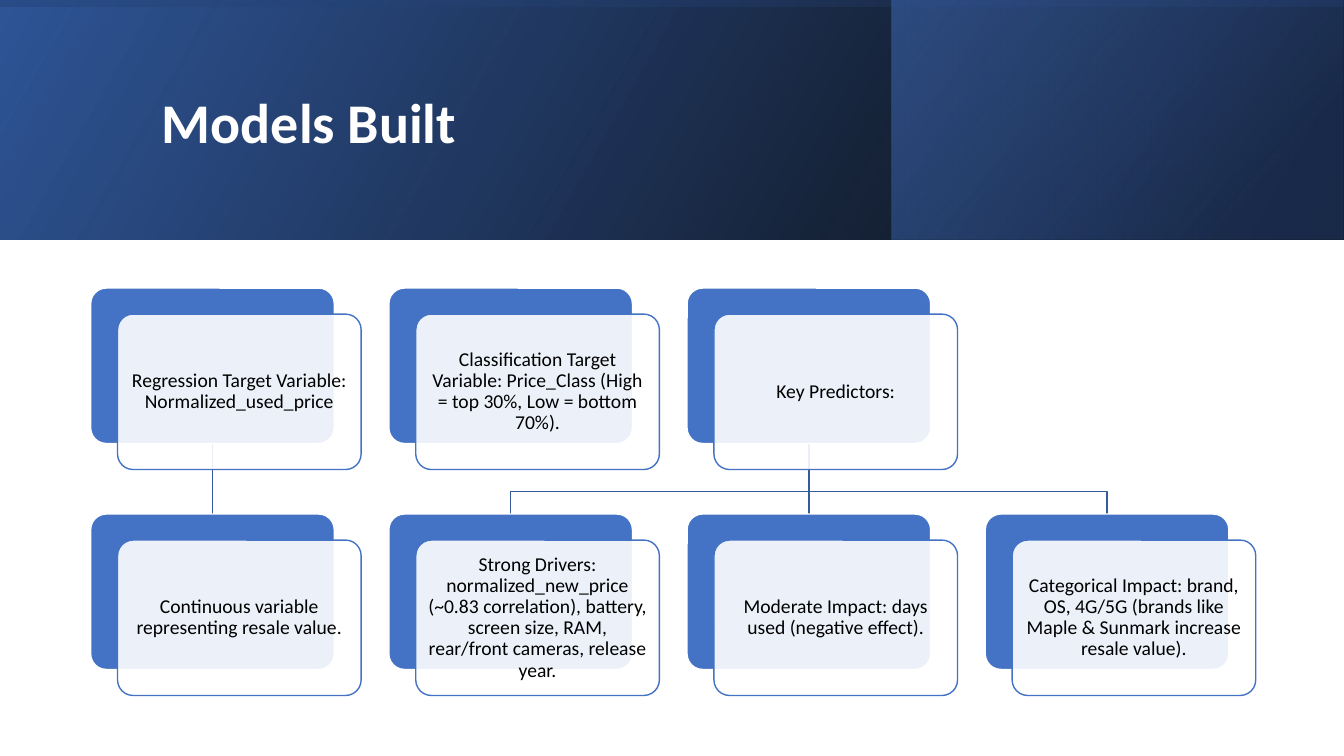
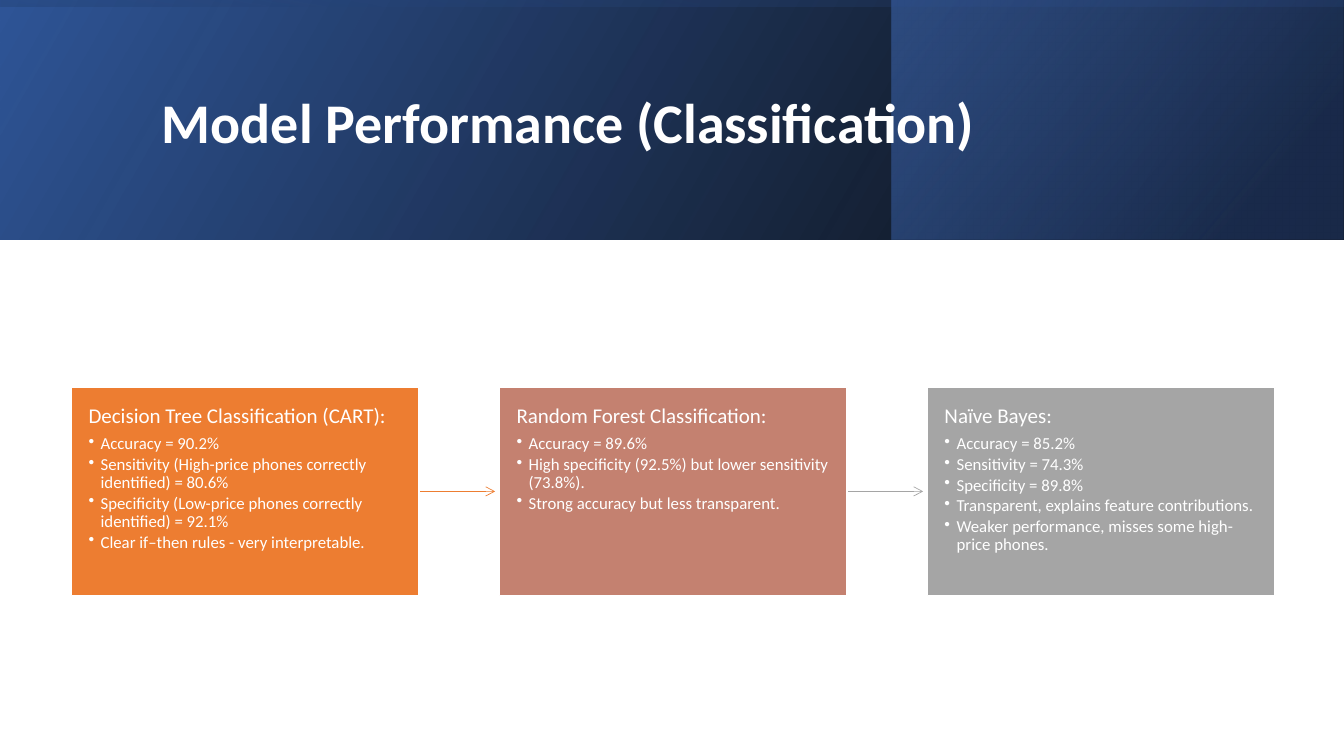
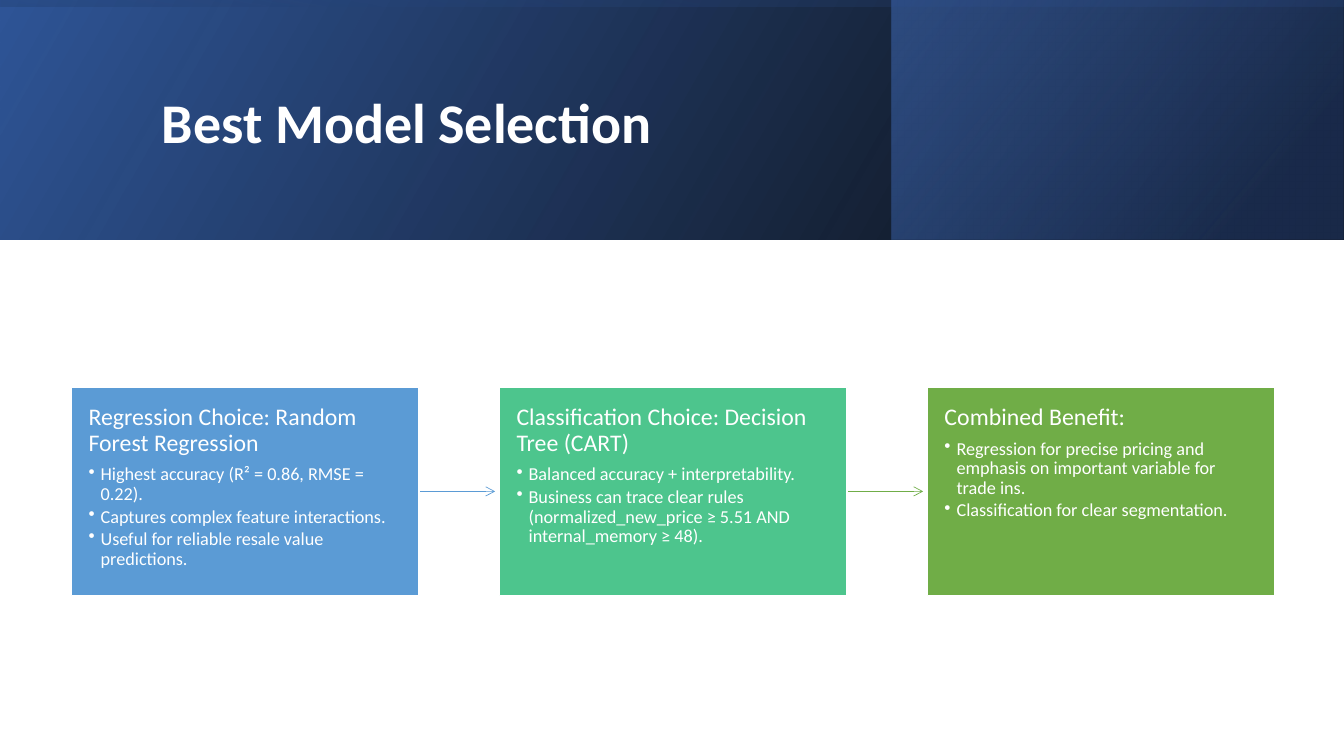
import dataclasses
import pptx
import pptx.dml.color
import pptx.enum.shapes
import pptx.enum.text
import pptx.oxml.ns
import pptx.util
from lxml import etree

RGB = pptx.dml.color.RGBColor
WHITE = RGB(0xFF, 0xFF, 0xFF)
BLACK = RGB(0x00, 0x00, 0x00)
BLUE = RGB(0x44, 0x72, 0xC4)
ROYAL = RGB(0x2F, 0x55, 0x97)
NAVY = RGB(0x20, 0x38, 0x64)
WIRE = RGB(0x36, 0x5B, 0x9D)
ORANGE = RGB(0xED, 0x7D, 0x31)
CLAY = RGB(0xC4, 0x81, 0x70)
GRAY = RGB(0xA5, 0xA5, 0xA5)
SKY = RGB(0x5B, 0x9B, 0xD5)
MINT = RGB(0x4D, 0xC5, 0x8D)
GREEN = RGB(0x70, 0xAD, 0x47)

FONT = "Calibri"
COLS, ROWS = 160, 90
UNIT = pptx.util.Inches(7.5) / ROWS
KIND = pptx.enum.shapes.MSO_SHAPE
ANCHOR = pptx.enum.text.MSO_ANCHOR
ALIGN = pptx.enum.text.PP_ALIGN


@dataclasses.dataclass
class Box:
    """Area counted in columns and rows of the slide grid."""
    x: float
    y: float
    w: float
    h: float

    def emu(self):
        """Return left, top, width and height as lengths."""
        return [grid(v) for v in (self.x, self.y, self.w, self.h)]

    def inner(self, x, y, w, h):
        """Return a box whose corner is counted from this one."""
        return Box(self.x + x, self.y + y, w, h)


BAND = Box(0, 0, COLS, 28.5)
TREE = Box(10.8, 34.3, 138.7, 48.5)
FLOW = Box(8.5, 46.1, 143.3, 24.8)

CARDS = [
    (0, 0, "Regression Target Variable: Normalized_used_price"),
    (0, 1, "Continuous variable representing resale value."),
    (1, 0, "Classification Target Variable: Price_Class "
           "(High = top 30%, Low = bottom 70%)."),
    (2, 0, "Key Predictors:"),
    (1, 1, "Strong Drivers: normalized_new_price (~0.83 correlation), battery, "
           "screen size, RAM, rear/front cameras, release year."),
    (2, 1, "Moderate Impact: days used (negative effect)."),
    (3, 1, "Categorical Impact: brand, OS, 4G/5G "
           "(brands like Maple & Sunmark increase resale value)."),
]
LINKS = [(2, 3), (2, 2), (2, 1), (0, 0)]

SCORES = [
    (ORANGE, "Decision Tree Classification (CART):", [
        "Accuracy = 90.2%",
        "Sensitivity (High-price phones correctly identified) = 80.6%",
        "Specificity (Low-price phones correctly identified) = 92.1%",
        "Clear if–then rules - very interpretable."]),
    (CLAY, "Random Forest Classification:", [
        "Accuracy = 89.6%",
        "High specificity (92.5%) but lower sensitivity (73.8%).",
        "Strong accuracy but less transparent."]),
    (GRAY, "Naïve Bayes:", [
        "Accuracy = 85.2%",
        "Sensitivity = 74.3%",
        "Specificity = 89.8%",
        "Transparent, explains feature contributions.",
        "Weaker performance, misses some high-price phones."]),
]
CHOICES = [
    (SKY, "Regression Choice: Random Forest Regression", [
        "Highest accuracy (R² = 0.86, RMSE = 0.22).",
        "Captures complex feature interactions.",
        "Useful for reliable resale value predictions."]),
    (MINT, "Classification Choice: Decision Tree (CART)", [
        "Balanced accuracy + interpretability.",
        "Business can trace clear rules "
        "(normalized_new_price ≥ 5.51 AND internal_memory ≥ 48)."]),
    (GREEN, "Combined Benefit:", [
        "Regression for precise pricing and emphasis on important variable "
        "for trade ins.",
        "Classification for clear segmentation."]),
]


def grid(count):
    """Turn grid units into a length."""
    return pptx.util.Emu(round(count * UNIT))


def child(node, tag, **attrs):
    """Append a drawing element to a node."""
    return etree.SubElement(node, pptx.oxml.ns.qn(tag), attrs)


def fade(shape, *shares):
    """Set the opacity in percent of each fill colour."""
    found = shape._element.spPr.xpath("./a:solidFill/a:srgbClr | ./a:gradFill//a:srgbClr")
    for node, share in zip(found, shares):
        child(node, "a:alpha", val=str(share * 1000))


def block(slide, kind, box, fill=None, line=None):
    """Add a flat preset shape."""
    shape = slide.shapes.add_shape(kind, *box.emu())
    shape.shadow.inherit = False
    if fill is not None:
        shape.fill.solid()
        shape.fill.fore_color.rgb = fill
    if line is None:
        shape.line.fill.background()
    else:
        shape.line.color.rgb = line
        shape.line.width = pptx.util.Pt(1)
    return shape


def frame(shape, anchor, side, top):
    """Prepare the text frame of a shape with margins in inches."""
    text = shape.text_frame
    text.word_wrap = True
    text.vertical_anchor = anchor
    text.margin_left = text.margin_right = pptx.util.Inches(side)
    text.margin_top = text.margin_bottom = pptx.util.Inches(top)
    return text


def write(para, words, size, color, after, align=ALIGN.LEFT, bold=False):
    """Write one run into a paragraph."""
    para.alignment = align
    para.line_spacing = 0.9
    para.space_after = pptx.util.Pt(after)
    run = para.add_run()
    run.text = words
    run.font.name = FONT
    run.font.size = pptx.util.Pt(size)
    run.font.bold = bold
    run.font.color.rgb = color


def bullet(para):
    """Give a paragraph a hanging bullet."""
    props = para._p.get_or_add_pPr()
    hang = pptx.util.Inches(0.12)
    props.set("marL", str(hang))
    props.set("indent", str(-hang))
    child(props, "a:buChar", char="•")


def shade(slide, box, angle, stops, turn=0):
    """Add a mirrored rectangle with a two-stop gradient."""
    shape = block(slide, KIND.RECTANGLE, box)
    shape.fill.gradient()
    shape.fill.gradient_angle = angle
    for stop, (place, color, _) in zip(shape.fill.gradient_stops, stops):
        stop.position = place
        stop.color.rgb = color
    fade(shape, *(share for _, _, share in stops))
    shape.rotation = turn
    shape._element.spPr.xpath("./a:xfrm")[0].set("flipH", "1")


def header(slide, box, title):
    """Draw the gradient band and its title."""
    shade(slide, box, 30, [(0, BLACK, 96), (1, ROYAL, 100)])
    shade(slide, box.inner(106.1, 0, 53.8, box.h), 40,
          [(0.19, NAVY, 68), (1, BLUE, 48)])
    shift = (box.w - box.h) / 2
    shade(slide, box.inner(shift, -shift, box.h, box.w), 10,
          [(0.23, ROYAL, 16), (0.99, BLACK, 45)], 270)
    area = box.inner(18.1, 4.6, 127.6, 20.6)
    text = frame(slide.shapes.add_textbox(*area.emu()), ANCHOR.MIDDLE, 0.1, 0.05)
    write(text.paragraphs[0], title, 40, WHITE, 6, bold=True)


def line(slide, start, end, color, width, head=False):
    """Draw a straight line, with an arrowhead if asked."""
    link = slide.shapes.add_connector(
        pptx.enum.shapes.MSO_CONNECTOR.STRAIGHT, *map(grid, start + end))
    link.line.color.rgb = color
    link.line.width = pptx.util.Pt(width)
    if head:
        child(link.line._get_or_add_ln(), "a:tailEnd", type="arrow")
    child(link._element.spPr, "a:effectLst")


def elbow(slide, start, end):
    """Draw a bent line from a parent to a child."""
    bend = start[1] + 0.68 * (end[1] - start[1])
    route = [start, (start[0], bend), (end[0], bend), end]
    spots = [(grid(x), grid(y)) for x, y in route]
    form = slide.shapes.build_freeform(*spots[0])
    form.add_line_segments(spots[1:], close=False)
    shape = form.convert_to_shape()
    shape.shadow.inherit = False
    shape.fill.background()
    shape.line.color.rgb = WIRE
    shape.line.width = pptx.util.Pt(1)


def card(slide, box, shift, words):
    """Draw a solid plate with a pale text plate over it."""
    for move, fill, edge in ((0, BLUE, WHITE), (1, WHITE, BLUE)):
        area = box.inner(move * shift[0], move * shift[1], box.w, box.h)
        plate = block(slide, KIND.ROUNDED_RECTANGLE, area, fill, edge)
        plate.adjustments[0] = 0.1
    fade(plate, 90)
    text = frame(plate, ANCHOR.MIDDLE, 0.06, 0.06)
    write(text.paragraphs[0], words, 14, BLACK, 0, ALIGN.CENTER)


def tree(slide, box):
    """Draw two rows of cards and the lines between them."""
    wide, high = 29, 18.5
    shift = (3.2, 3.1)
    across = (box.w - wide - shift[0]) / 3
    down = box.h - high - shift[1]
    for top, low in LINKS:
        start = (box.x + top * across + wide / 2, box.y + high)
        end = (box.x + low * across + wide / 2, box.y + down)
        if top == low:
            line(slide, start, end, WIRE, 1)
        else:
            elbow(slide, start, end)
    for col, row, words in CARDS:
        card(slide, box.inner(col * across, row * down, wide, high), shift, words)


def panel(slide, box, color, title, items, size):
    """Draw a filled panel with a heading and bullets."""
    shape = block(slide, KIND.RECTANGLE, box, color, WHITE)
    text = frame(shape, ANCHOR.TOP, 0.17, 0.18)
    head, body = size
    write(text.paragraphs[0], title, head, WHITE, 0.35 * head)
    for item in items:
        para = text.add_paragraph()
        bullet(para)
        write(para, item, body, WHITE, 0.15 * body)


def flow(slide, box, panels, size):
    """Draw three panels in a row joined by arrows."""
    wide = 41.4
    step = (box.w - wide) / (len(panels) - 1)
    mid = box.y + box.h / 2
    for col, color in enumerate((panels[0][0], panels[-1][0])):
        left = box.x + col * step
        line(slide, (left + wide, mid), (left + step - 0.5, mid), color, 0.5, True)
    for col, (color, title, items) in enumerate(panels):
        panel(slide, box.inner(col * step, 0, wide, box.h), color, title, items, size)


def page(deck, title):
    """Add a blank slide with the shared header."""
    slide = deck.slides.add_slide(deck.slide_layouts[6])
    header(slide, BAND, title)
    return slide


def main():
    """Build the deck and save it."""
    deck = pptx.Presentation()
    deck.slide_width, deck.slide_height = grid(COLS), grid(ROWS)
    tree(page(deck, "Models Built"), TREE)
    flow(page(deck, "Model Performance (Classification)"), FLOW, SCORES, (15, 12))
    flow(page(deck, "Best Model Selection"), FLOW, CHOICES, (17, 13))
    deck.save("out.pptx")


if __name__ == "__main__":
    main()
